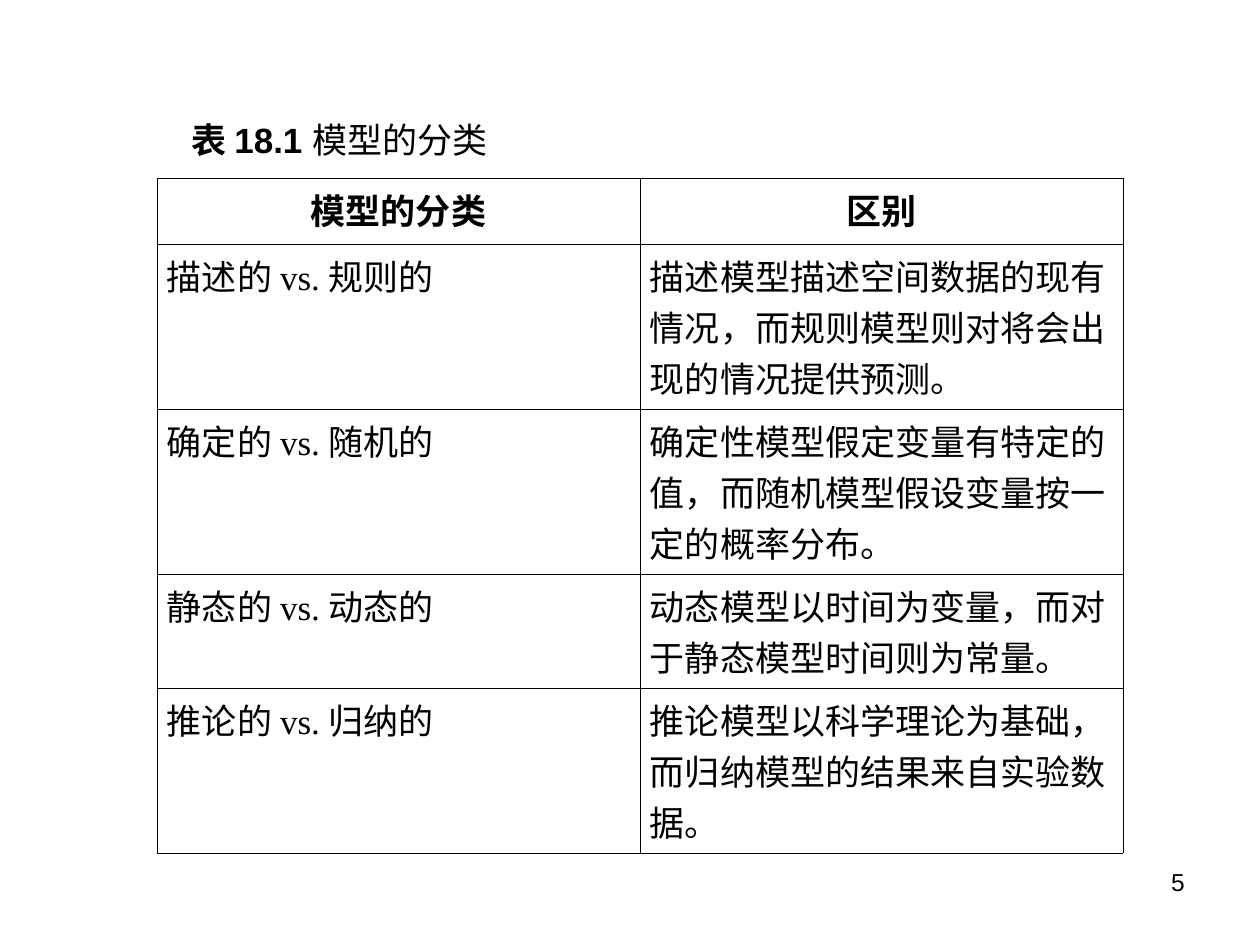
"""Build a slide with a captioned table that classifies models."""
from lxml.etree import SubElement as Sub
from pptx import Presentation
from pptx.dml.color import RGBColor
from pptx.enum.text import MSO_ANCHOR as Anchor, PP_ALIGN as Align
from pptx.oxml.ns import qn
from pptx.util import Emu, Pt

BLACK = RGBColor(0, 0, 0)
SCALE = 914400 / 126
SIZE = (1260, 945)
HEAD = ("模型的分类", "区别")
ROWS = [
    ("描述的 vs. 规则的", "描述模型描述空间数据的现有情况，而规则模型则对将会出现的情况提供预测。"),
    ("确定的 vs. 随机的", "确定性模型假定变量有特定的值，而随机模型假设变量按一定的概率分布。"),
    ("静态的 vs. 动态的", "动态模型以时间为变量，而对于静态模型时间则为常量。"),
    ("推论的 vs. 归纳的", "推论模型以科学理论为基础，而归纳模型的结果来自实验数据。"),
]
HIGH = (66, 165, 165, 114, 165)
GRID = (157, 178, 966, sum(HIGH))
BODY = {"name": "Times New Roman", "size": Pt(20), "bold": False}
BOLD = {**BODY, "bold": True}
SANS = {**BODY, "name": "Arial"}
TEXTS = [
    ((179, 112, 819, 55), Align.LEFT, [("表 18.1 ", {**SANS, "bold": True}), ("模型的分类", SANS)]),
    ((903, 861, 294, 66), Align.RIGHT, [("5", {**SANS, "size": Pt(14)})]),
]


def emu(px):
    return Emu(round(px * SCALE))


def write(frame, align, runs):
    para = frame.paragraphs[0]
    para.alignment = align
    for text, form in runs:
        run = para.add_run()
        run.text = text
        run.font.color.rgb = BLACK
        for key, val in form.items():
            setattr(run.font, key, val)


def edge(cell):
    props = cell._tc.get_or_add_tcPr()
    for at, side in enumerate(("lnL", "lnR", "lnT", "lnB")):
        line = Sub(props, qn(f"a:{side}"), w=str(Pt(0.45)))
        fill = Sub(line, qn("a:solidFill"))
        Sub(fill, qn("a:srgbClr"), val=str(BLACK))
        props.insert(at, line)


def main():
    deck = Presentation()
    deck.slide_width, deck.slide_height = map(emu, SIZE)
    slide = deck.slides.add_slide(deck.slide_layouts[6])
    rows = [HEAD, *ROWS]
    table = slide.shapes.add_table(len(rows), len(HEAD), *map(emu, GRID)).table
    table.first_row = table.horz_banding = False
    for col in table.columns:
        col.width = emu(GRID[2] // len(HEAD))
    for r, (row, high) in enumerate(zip(rows, HIGH)):
        table.rows[r].height = emu(high)
        align, form = (Align.LEFT, BODY) if r else (Align.CENTER, BOLD)
        for c, text in enumerate(row):
            cell = table.cell(r, c)
            cell.margin_left = cell.margin_right = emu(10)
            cell.margin_top = cell.margin_bottom = emu(6)
            cell.vertical_anchor = Anchor.TOP
            cell.fill.background()
            edge(cell)
            write(cell.text_frame, align, [(text, form)])
    for area, align, runs in TEXTS:
        frame = slide.shapes.add_textbox(*map(emu, area)).text_frame
        frame.word_wrap = True
        write(frame, align, runs)
    deck.save("out.pptx")


if __name__ == "__main__":
    main()
